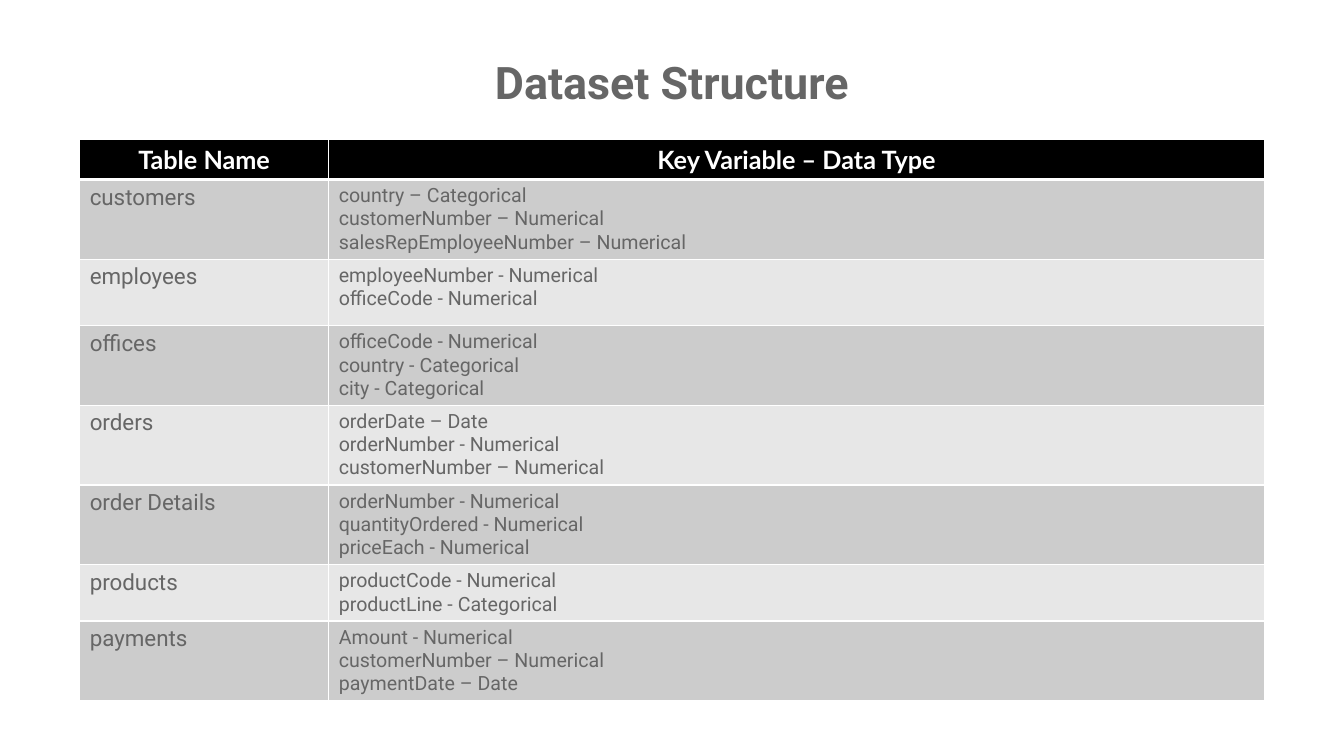
from lxml import etree
from pptx import Presentation
from pptx.dml.color import RGBColor
from pptx.enum import text
from pptx.oxml import ns
from pptx.util import Inches, Pt

COLORS = {"white": "FFFFFF", "black": "000000", "gray": "666666",
          "dark_band": "CCCCCC", "light_band": "E7E7E7"}

HEADERS = ["Table Name", "Key Variable – Data Type"]
DATASET = [
    ("customers", ["country – Categorical", "customerNumber – Numerical",
                   "salesRepEmployeeNumber – Numerical"]),
    ("employees", ["employeeNumber - Numerical", "officeCode - Numerical"]),
    ("offices", ["officeCode - Numerical", "country - Categorical",
                 "city - Categorical"]),
    ("orders", ["orderDate – Date", "orderNumber - Numerical",
                "customerNumber – Numerical"]),
    ("order Details", ["orderNumber - Numerical", "quantityOrdered - Numerical",
                       "priceEach - Numerical"]),
    ("products", ["productCode - Numerical", "productLine - Categorical"]),
    ("payments", ["Amount - Numerical", "customerNumber – Numerical",
                  "paymentDate – Date"]),
]
COLUMN_WIDTHS = [2.47, 9.28]
ROW_HEIGHTS = [0.4, 0.77, 0.66, 0.77, 0.77, 0.77, 0.54, 0.77]


def write_lines(frame, lines, size, color, font="Roboto", bold=False, centered=False):
    for index, line in enumerate(lines):
        para = frame.paragraphs[0] if index == 0 else frame.add_paragraph()
        para.alignment = text.PP_ALIGN.CENTER if centered else text.PP_ALIGN.LEFT
        span = para.add_run()
        span.text = line
        span.font.name = font
        span.font.size = Pt(size)
        span.font.bold = bold
        span.font.color.rgb = RGBColor.from_string(COLORS[color])


def style_cell(cell, fill, top=1, bottom=1):
    cell.fill.solid()
    cell.fill.fore_color.rgb = RGBColor.from_string(COLORS[fill])
    # Borders come before the fill in the cell properties
    properties = cell._tc.get_or_add_tcPr()
    sides = [("lnL", 1), ("lnR", 1), ("lnT", top), ("lnB", bottom)]
    for index, (side, width) in enumerate(sides):
        border = etree.Element(ns.qn(f"a:{side}"), w=str(Pt(width)))
        paint = etree.SubElement(border, ns.qn("a:solidFill"))
        etree.SubElement(paint, ns.qn("a:srgbClr"), val=COLORS["white"])
        properties.insert(index, border)


def add_title(page, left, top, width, height):
    box = page.shapes.add_textbox(Inches(left), Inches(top), Inches(width), Inches(height))
    frame = box.text_frame
    frame.word_wrap = True
    frame.auto_size = text.MSO_AUTO_SIZE.SHAPE_TO_FIT_TEXT
    write_lines(frame, ["Dataset Structure"], 32, "gray", bold=True, centered=True)


def add_dataset_table(page, left, top, width, height):
    table = page.shapes.add_table(len(ROW_HEIGHTS), len(COLUMN_WIDTHS), Inches(left),
                                  Inches(top), Inches(width), Inches(height)).table
    for column, share in zip(table.columns, COLUMN_WIDTHS):
        column.width = Inches(width * share / sum(COLUMN_WIDTHS))
    for row, row_height in zip(table.rows, ROW_HEIGHTS):
        row.height = Inches(row_height)

    # Header row
    for column, header in enumerate(HEADERS):
        cell = table.cell(0, column)
        style_cell(cell, "black", bottom=3)
        write_lines(cell.text_frame, [header], 18, "white", "Lato", True, True)

    # Banded body rows
    for row, (name, variables) in enumerate(DATASET, start=1):
        band = "dark_band" if row % 2 else "light_band"
        for column, (lines, size) in enumerate([([name], 16), (variables, 14)]):
            cell = table.cell(row, column)
            style_cell(cell, band, top=3 if row == 1 else 1)
            write_lines(cell.text_frame, lines, size, "gray")


def main():
    deck = Presentation()
    deck.slide_width, deck.slide_height = Inches(13.33), Inches(7.5)
    page = deck.slides.add_slide(deck.slide_layouts[6])
    add_dataset_table(page, 0.79, 1.38, sum(COLUMN_WIDTHS), sum(ROW_HEIGHTS))
    add_title(page, 4.54, 0.49, 4.25, 0.64)
    deck.save("out.pptx")


if __name__ == "__main__":
    main()
